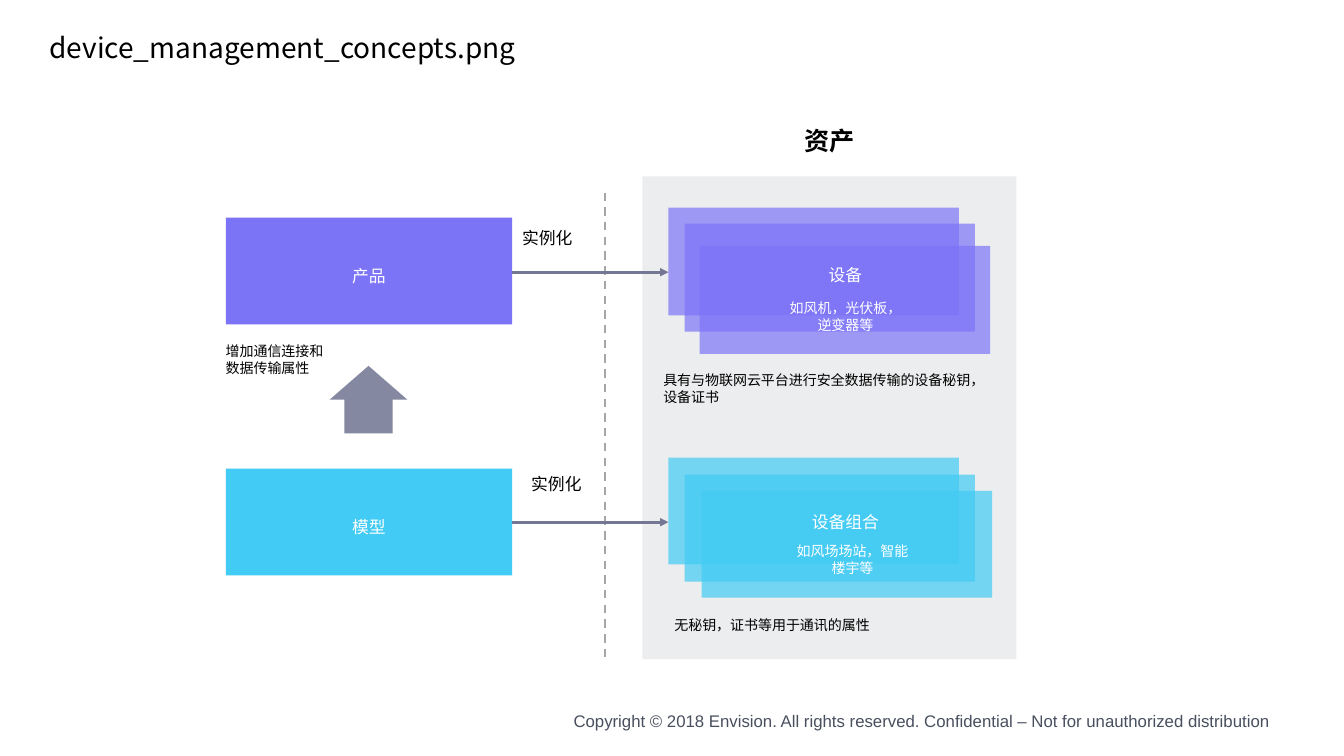
from lxml.etree import SubElement
from pptx import Presentation
from pptx.dml.color import RGBColor
from pptx.enum.dml import MSO_LINE
from pptx.enum.shapes import MSO_CONNECTOR, MSO_SHAPE
from pptx.enum.text import MSO_ANCHOR, MSO_AUTO_SIZE, PP_ALIGN
from pptx.oxml.ns import qn
from pptx.util import Pt

PX = 9144  # 100 px to the inch
COLORS = {
    "black": "000000", "white": "FFFFFF", "footer": "484F5E", "panel": "4E5460",
    "product": "7C74F7", "model": "42CBF4", "divider": "A6A6A6",
    "flow": "737794", "upgrade": "8588A1",
}
CJK = "Noto Sans CJK SC"
LEFT, CENTER, RIGHT = PP_ALIGN.LEFT, PP_ALIGN.CENTER, PP_ALIGN.RIGHT


def write(shape, text, size, color="black", align=LEFT, font=CJK, bold=False):
    frame = shape.text_frame
    frame.word_wrap = True
    para = frame.paragraphs[0]
    para.alignment = align
    span = para.add_run()
    span.text = text
    span.font.size = Pt(size)
    span.font.bold = bold
    span.font.color.rgb = RGBColor.from_string(COLORS[color])
    span.font.name = font
    SubElement(span.font._element, qn("a:ea"), typeface=font)
    return para


def add_block(kind, left, top, width, height, color, opacity=100):
    block = page.shapes.add_shape(kind, left * PX, top * PX, width * PX, height * PX)
    block.shadow.inherit = False
    block.line.fill.background()
    block.fill.solid()
    block.fill.fore_color.rgb = RGBColor.from_string(COLORS[color])
    if opacity < 100:
        tint = block._element.spPr.find(".//" + qn("a:srgbClr"))
        SubElement(tint, qn("a:alpha"), val=str(opacity * 1000))
    return block


deck = Presentation()
deck.slide_width, deck.slide_height = 1333 * PX, 750 * PX
page = deck.slides.add_slide(deck.slide_layouts[5])

title = page.shapes.title
title.left, title.top, title.width, title.height = 39 * PX, 29 * PX, 1196 * PX, 45 * PX
title.text_frame.vertical_anchor = MSO_ANCHOR.TOP
title.text_frame.auto_size = MSO_AUTO_SIZE.NONE
write(title, "device_management_concepts.png", 20).line_spacing = 0.9

# Asset panel, and the product and model boxes on the left
add_block(MSO_SHAPE.RECTANGLE, 637, 175, 371, 479, "panel", 10)
for text, top, color in [("产品", 216, "product"), ("模型", 465, "model")]:
    box = add_block(MSO_SHAPE.RECTANGLE, 224, top, 284, 106, color)
    box.text_frame.vertical_anchor = MSO_ANCHOR.MIDDLE
    write(box, text, 12, "white", CENTER).line_spacing = Pt(21.2)

# Divider and instantiation arrows
for x1, y1, x2, y2, color, width in [
    (600, 191, 600, 655, "divider", 1.5),
    (508, 270, 663, 270, "flow", 2),
    (508, 518, 663, 518, "flow", 2),
]:
    line = page.shapes.add_connector(
        MSO_CONNECTOR.STRAIGHT, x1 * PX, y1 * PX, x2 * PX, y2 * PX)
    line.line.color.rgb = RGBColor.from_string(COLORS[color])
    line.line.width = Pt(width)
    if color == "divider":
        line.line.dash_style = MSO_LINE.DASH
    else:
        SubElement(line.line._get_or_add_ln(), qn("a:tailEnd"), type="triangle")
    SubElement(line._element.spPr, qn("a:effectLst"))

upgrade_arrow = add_block(MSO_SHAPE.UP_ARROW, 327, 363, 77, 67, "upgrade")
upgrade_arrow.adjustments[0] = 0.619
upgrade_arrow.adjustments[1] = 0.5

# Stacks of device and device group cards
for color, height, corners in [
    ("product", 107, [(663, 206), (679, 222), (694, 244)]),
    ("model", 106, [(663, 454), (679, 471), (696, 487)]),
]:
    for left, top in corners:
        add_block(MSO_SHAPE.RECTANGLE, left, top, 288, height, color, 70)

# Labels and notes
for text, left, top, width, height, size, color, align, font, bold in [
    ("资产", 753, 119, 139, 41, 18, "black", CENTER, CJK, True),
    ("实例化", 508, 221, 131, 30, 12, "black", LEFT, CJK, False),
    ("实例化", 517, 465, 131, 30, 12, "black", LEFT, CJK, False),
    ("增加通信连接和数据传输属性", 214, 335, 130, 44, 10, "black", LEFT, CJK, False),
    ("设备", 771, 258, 135, 30, 12, "white", CENTER, CJK, False),
    ("如风机，光伏板，逆变器等", 771, 292, 135, 44, 10, "white", CENTER, CJK, False),
    ("具有与物联网云平台进行安全数据传输的设备秘钥，设备证书",
     648, 364, 349, 44, 10, "black", LEFT, CJK, False),
    ("设备组合", 771, 503, 135, 30, 12, "white", CENTER, CJK, False),
    ("如风场场站，智能楼宇等", 778, 533, 135, 44, 10, "white", CENTER, CJK, False),
    ("无秘钥，证书等用于通讯的属性", 659, 607, 349, 27, 10, "black", LEFT, CJK, False),
    ("Copyright © 2018 Envision. All rights reserved. "
     "Confidential – Not for unauthorized distribution",
     487, 700, 783, 30, 12, "footer", RIGHT, "Arial", False),
]:
    label = page.shapes.add_textbox(left * PX, top * PX, width * PX, height * PX)
    write(label, text, size, color, align, font, bold)

deck.save("out.pptx")
